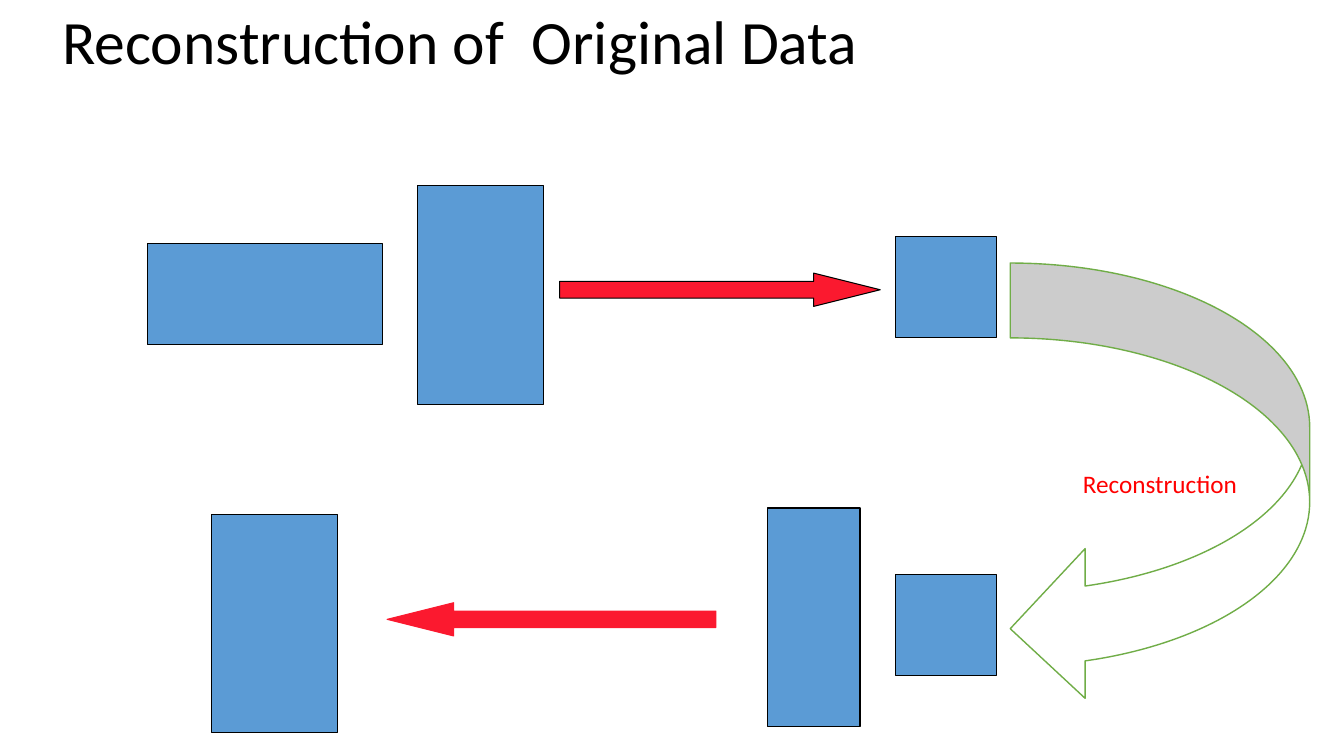
from pptx import Presentation
from pptx.dml.color import RGBColor
from pptx.enum.shapes import MSO_SHAPE as Shape
from pptx.enum.text import MSO_ANCHOR as Anchor, PP_ALIGN as Align
from pptx.util import Inches, Pt

COLORS = {
    "black": "000000",
    "white": "FFFFFF",
    "blue": "5B9BD5",
    "red": "FB192F",
    "green": "70AD47",
    "label": "FF0000",
}
SIDE = 1        # edge of the small square
TALL = 2.17     # height of the upright blocks
WIDE = 1.25     # width of the data block
THICK = 0.33    # height of the straight arrows


def color(name):
    return RGBColor.from_string(COLORS[name])


def add_text(shape, text, size, tint, align):
    frame = shape.text_frame
    frame.word_wrap = True
    frame.vertical_anchor = Anchor.MIDDLE
    para = frame.paragraphs[0]
    para.text = text
    para.alignment = align
    font = para.runs[0].font
    font.name = "Calibri"
    font.size = Pt(size)
    font.color.rgb = color(tint)
    return para


def add_form(slide, kind, box, fill, line="black", width=0.75):
    shape = slide.shapes.add_shape(kind, *map(Inches, box))
    shape.shadow.inherit = False
    shape.fill.solid()
    shape.fill.fore_color.rgb = color(fill)
    shape.line.color.rgb = color(line)
    shape.line.width = Pt(width)
    return shape


def add_block(slide, left, top, width, height):
    add_form(slide, Shape.RECTANGLE, (left, top, width, height), "blue")


def add_arrow(slide, kind, box, line):
    arrow = add_form(slide, kind, box, "red", line)
    arrow.adjustments[1] = 2


def add_title(slide, left, top, width, height):
    box = slide.shapes.add_textbox(*map(Inches, (left, top, width, height)))
    para = add_text(box, "Reconstruction of  Original Data", 44, "black", Align.LEFT)
    para.line_spacing = 0.9


def add_forward(slide, left, top, width):
    """Top row: two matrices lead to the small square."""
    add_block(slide, left, top + 0.58, 2.33, SIDE)
    add_block(slide, left + 2.68, top, WIDE, TALL)
    add_block(slide, left + width - SIDE, top + 0.51, SIDE, SIDE)
    add_arrow(slide, Shape.RIGHT_ARROW, (left + 4.09, top + 0.87, 3.18, THICK), "black")


def add_return(slide, left, top, width):
    """Bottom row: the square and a matrix lead back to the data."""
    add_block(slide, left + width - SIDE, top + 0.66, SIDE, SIDE)
    add_block(slide, left + 5.51, top, 0.92, TALL)
    add_arrow(slide, Shape.LEFT_ARROW, (left + 1.74, top + 0.94, 3.26, THICK), "red")
    add_block(slide, left, top + 0.06, WIDE, TALL)


def add_turn(slide, left, top, width, height):
    """Curved arrow that joins the two rows."""
    box = (left, top, width, height)
    turn = add_form(slide, Shape.CURVED_LEFT_ARROW, box, "white", "green", 1)
    add_text(turn, "Reconstruction", 18, "label", Align.CENTER)


def main():
    deck = Presentation()
    deck.slide_width = Inches(13.33)
    deck.slide_height = Inches(7.5)
    slide = deck.slides.add_slide(deck.slide_layouts[6])
    add_title(slide, 0.52, -0.02, 12.11, 0.92)
    add_forward(slide, 1.46, 1.84, 8.42)
    add_return(slide, 2.1, 5.04, 7.78)
    add_turn(slide, 10.02, 2.61, 2.97, 4.37)
    deck.save("out.pptx")


if __name__ == "__main__":
    main()
